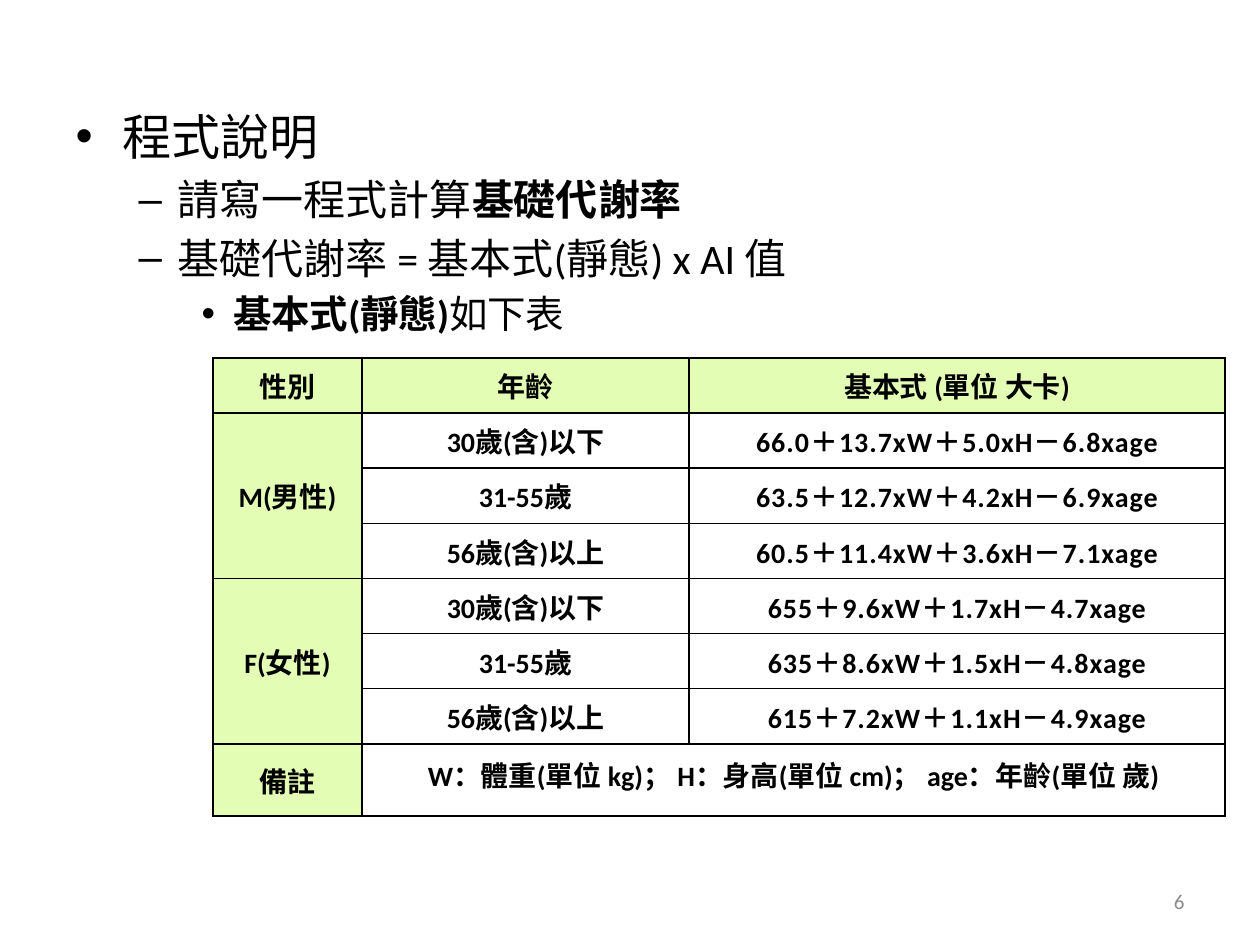
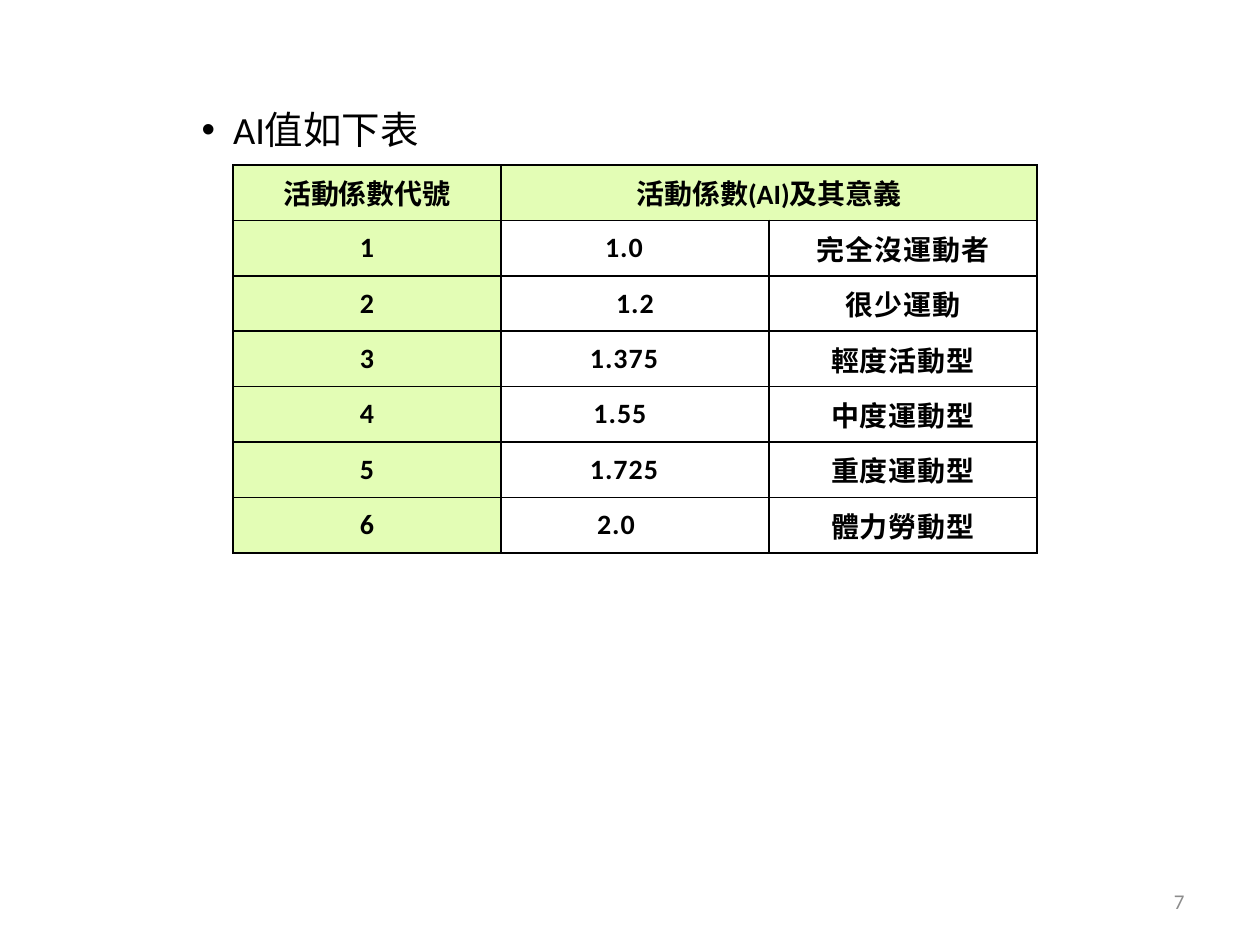
import pptx
import pptx.dml.color
import pptx.enum.text
import pptx.oxml.ns
import pptx.util
import lxml.etree

PX = 914400 / 126
BLACK = pptx.dml.color.RGBColor(0x00, 0x00, 0x00)
GRAY = pptx.dml.color.RGBColor(0x8C, 0x8C, 0x8C)
LIME = pptx.dml.color.RGBColor(0xE3, 0xFD, 0xB5)
FONT = "Calibri"
LEVEL_SIZES = (28, 24, 22)
BODY_BOX = (63, 100, 1134, 780)
NUMBER_BOX = (903, 876, 294, 50)
ALIGN = pptx.enum.text.PP_ALIGN
MIDDLE = pptx.enum.text.MSO_ANCHOR.MIDDLE

OUTLINE = [
    (0, [("程式說明", False, FONT)]),
    (1, [("請寫一程式計算", False, FONT), ("基礎代謝率", True, FONT)]),
    (1, [("基礎代謝率 = 基本式(靜態) x AI 值", False, FONT)]),
    (2, [("基本式(靜態)", True, FONT), ("如下表", False, "Arial")]),
]
ACTIVITY_OUTLINE = [(2, [("AI值", False, FONT), ("如下表", False, "Arial")])]
AGES = ("30歲(含)以下", "31-55歲", "56歲(含)以上")
FORMULAS = {
    "M(男性)": (
        "66.0＋13.7xW＋5.0xH－6.8xage",
        "63.5＋12.7xW＋4.2xH－6.9xage",
        "60.5＋11.4xW＋3.6xH－7.1xage",
    ),
    "F(女性)": (
        "655＋9.6xW＋1.7xH－4.7xage",
        "635＋8.6xW＋1.5xH－4.8xage",
        "615＋7.2xW＋1.1xH－4.9xage",
    ),
}
ACTIVITIES = [
    ("1.0", "完全沒運動者", 22),
    ("1.2", "很少運動", 0),
    ("1.375", "輕度活動型", 22),
    ("1.55", "中度運動型", 30),
    ("1.725", "重度運動型", 22),
    ("2.0", "體力勞動型", 38),
]


def px(length):
    """Turn pixels into EMU."""
    return pptx.util.Emu(round(length * PX))


def style_font(font, size, color, bold=None):
    """Give a font the shared typeface and the given look."""
    font.name = FONT
    font.size = pptx.util.Pt(size)
    font.color.rgb = color
    font.bold = bold


def add_page(deck, outline, number):
    """Add a page with an outline and a page number."""
    page = deck.slides.add_slide(deck.slide_layouts.get_by_name("Title and Content"))
    title = page.shapes.title
    title.element.getparent().remove(title.element)
    fill_outline(page.placeholders[1], BODY_BOX, outline)
    add_page_number(page, NUMBER_BOX, number)
    return page


def fill_outline(body, box, outline):
    """Place the body placeholder and write its levelled paragraphs."""
    body.left, body.top, body.width, body.height = map(px, box)
    frame = body.text_frame
    frame.auto_size = pptx.enum.text.MSO_AUTO_SIZE.NONE
    for index, (level, spans) in enumerate(outline):
        para = frame.add_paragraph() if index else frame.paragraphs[0]
        para.level = level
        for text, bold, typeface in spans:
            span = para.add_run()
            span.text = text
            style_font(span.font, LEVEL_SIZES[level], BLACK, bold)
            span.font.name = typeface


def add_page_number(page, box, number):
    """Write the page number at the right of its box."""
    frame = page.shapes.add_textbox(*map(px, box)).text_frame
    frame.word_wrap = True
    frame.vertical_anchor = MIDDLE
    para = frame.paragraphs[0]
    para.text = str(number)
    para.alignment = ALIGN.RIGHT
    style_font(para.font, 12, GRAY)


def add_grid(page, box, widths, row_count):
    """Add a bare table with equal rows and the given column widths."""
    table = page.shapes.add_table(row_count, len(widths), *map(px, box)).table
    table.first_row = table.horz_banding = False
    for column, width in zip(table.columns, widths):
        column.width = px(width)
    for row in table.rows:
        row.height = px(box[3] / row_count)
        for cell in row.cells:
            draw_borders(cell)
            cell.fill.background()
    return table


def draw_borders(cell):
    """Draw a thin black line on each side of a cell."""
    properties = cell._tc.get_or_add_tcPr()
    qn = pptx.oxml.ns.qn
    for side in ("lnL", "lnR", "lnT", "lnB"):
        line = lxml.etree.SubElement(properties, qn(f"a:{side}"), w="12700")
        fill = lxml.etree.SubElement(line, qn("a:solidFill"))
        lxml.etree.SubElement(fill, qn("a:srgbClr"), val=str(BLACK))


def write_cell(cell, text, shaded=False, spaced=False):
    """Write centred bold text in a cell."""
    cell.vertical_anchor = MIDDLE
    cell.margin_left = cell.margin_right = px(9)
    cell.margin_top = cell.margin_bottom = 0
    if shaded:
        cell.fill.solid()
        cell.fill.fore_color.rgb = LIME
    para = cell.text_frame.paragraphs[0]
    para.alignment = ALIGN.CENTER
    para.text = text
    style_font(para.font, 16, BLACK, True)
    if spaced:
        para.runs[0]._r.get_or_add_rPr().set("spc", "60")


def add_formula_table(page, box):
    """Add the table of basic formulas by sex and age."""
    table = add_grid(page, box, (149, 327, 536), 8)
    for column, text in enumerate(("性別", "年齡", "基本式 (單位 大卡)")):
        write_cell(table.cell(0, column), text, shaded=True)
    for group, (sex, formulas) in enumerate(FORMULAS.items()):
        top = 1 + group * len(AGES)
        table.cell(top, 0).merge(table.cell(top + len(AGES) - 1, 0))
        write_cell(table.cell(top, 0), sex, shaded=True)
        for row, (age, formula) in enumerate(zip(AGES, formulas), top):
            write_cell(table.cell(row, 1), age)
            write_cell(table.cell(row, 2), formula, spaced=True)
    write_cell(table.cell(7, 0), "備註", shaded=True)
    note = table.cell(7, 1)
    note.merge(table.cell(7, 2))
    write_cell(note, "W：體重(單位 kg)； H：身高(單位 cm)； age：年齡(單位 歲)")
    note.margin_left = note.margin_right = pptx.util.Inches(0.1)
    note.margin_top = note.margin_bottom = pptx.util.Inches(0.05)
    para = note.text_frame.paragraphs[0]
    para.line_spacing = pptx.util.Pt(17)
    para.space_before = pptx.util.Pt(3)


def add_activity_table(page, box):
    """Add the table of activity factors and their meaning."""
    table = add_grid(page, box, [box[2] / 3] * 3, 1 + len(ACTIVITIES))
    write_cell(table.cell(0, 0), "活動係數代號", shaded=True)
    table.cell(0, 1).merge(table.cell(0, 2))
    write_cell(table.cell(0, 1), "活動係數(AI)及其意義", shaded=True)
    for row, (factor, meaning, shift) in enumerate(ACTIVITIES, 1):
        write_cell(table.cell(row, 0), str(row), shaded=True)
        write_cell(table.cell(row, 1), factor, spaced=True)
        table.cell(row, 1).margin_right = px(9 + shift)
        write_cell(table.cell(row, 2), meaning, spaced=True)


def main():
    """Build and save the deck."""
    deck = pptx.Presentation()
    deck.slide_width, deck.slide_height = px(1260), px(945)
    add_formula_table(add_page(deck, OUTLINE, 6), (213, 358, 1012, 441))
    add_activity_table(add_page(deck, ACTIVITY_OUTLINE, 7), (233, 165, 804, 388))
    deck.save("out.pptx")


if __name__ == "__main__":
    main()
